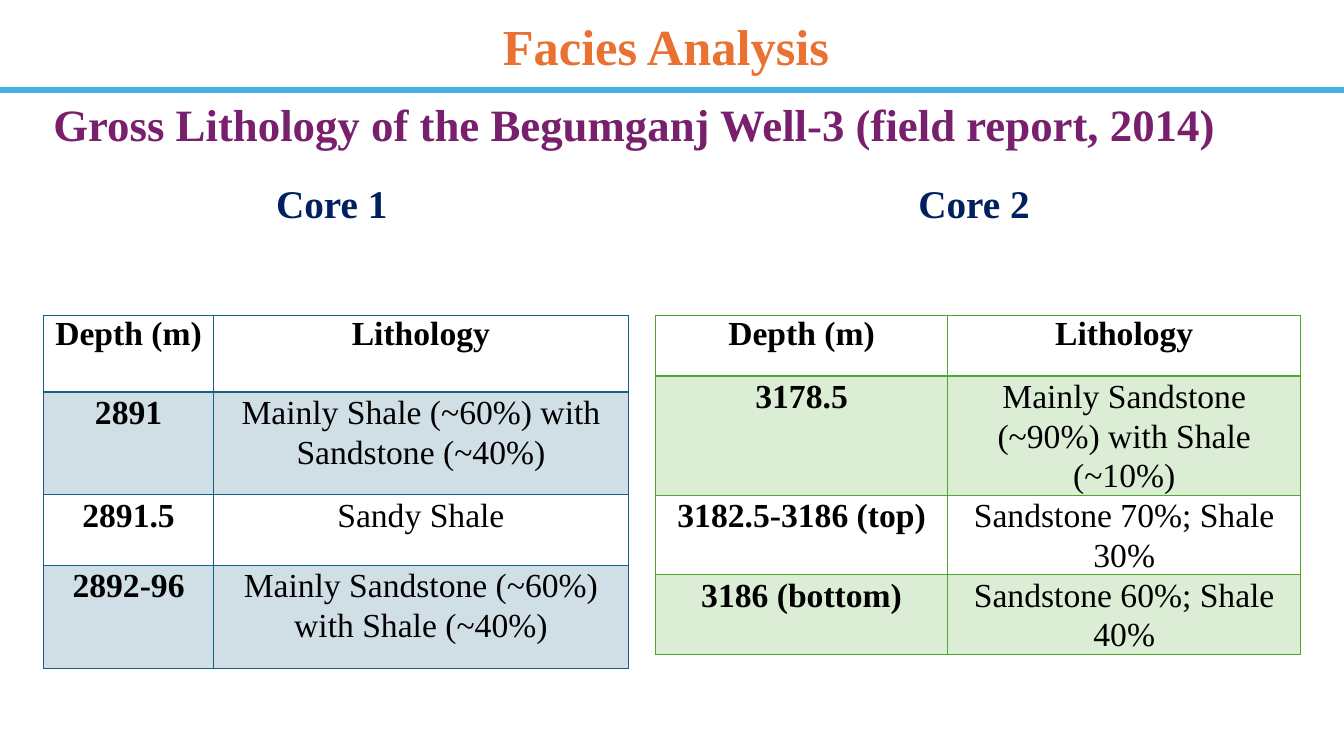
from lxml import etree
from pptx import Presentation
from pptx.dml.color import RGBColor
from pptx.enum import shapes, text
from pptx.oxml import ns
from pptx.util import Inches, Pt

# Content: text, left, top, width, height, style
HEADINGS = [
    ("Gross Lithology of the Begumganj Well-3 (field report, 2014)", 0.43, 0.97, 12.71, 0.76, "subtitle"),
    ("Core 1", 2.64, 1.73, 1.38, 0.57, "core"),
    ("Core 2", 9.01, 1.73, 1.38, 0.57, "core"),
    ("Facies Analysis", 4.89, 0.1, 3.55, 0.71, "title"),
]
HEADER = ("Depth (m)", "Lithology")
CORES = [
    {
        "left": 0.43, "columns": (1.69, 4.11), "heights": (0.76, 1.02, 0.7, 1.02), "color": "156082",
        "rows": [
            ("2891", "Mainly Shale (~60%) with Sandstone (~40%)"),
            ("2891.5", "Sandy Shale"),
            ("2892-96", "Mainly Sandstone (~60%) with Shale (~40%)"),
        ],
    },
    {
        "left": 6.5, "columns": (2.9, 3.5), "heights": (0.6, 0.7, 0.7, 0.7), "color": "4EA72E",
        "rows": [
            ("3178.5", "Mainly Sandstone (~90%) with Shale (~10%)"),
            ("3182.5-3186 (top)", "Sandstone 70%; Shale 30%"),
            ("3186 (bottom)", "Sandstone 60%; Shale 40%"),
        ],
    },
]
TABLE_TOP = 3.13
RULE_Y = 0.89
SLIDE_WIDTH, SLIDE_HEIGHT = 13.33, 7.5

THEME = {
    "font": "Times New Roman",
    "title": (36, "E97132"),
    "subtitle": (32, "78206E"),
    "core": (28, "002060"),
    "cell": (24, "000000"),
    "rule": (4.5, "46B1E1"),
    "band_alpha": "20000",
}


def add_span(para, words, style, bold=True):
    span = para.add_run()
    span.text = words
    size, color = THEME[style]
    span.font.name = THEME["font"]
    span.font.size = Pt(size)
    span.font.bold = bold
    span.font.color.rgb = RGBColor.from_string(color)


def add_heading(page, words, left, top, width, height, style):
    box = page.shapes.add_textbox(Inches(left), Inches(top), Inches(width), Inches(height))
    box.text_frame.word_wrap = style == "subtitle"
    para = box.text_frame.paragraphs[0]
    if style == "subtitle":
        para.line_spacing = 0.9
    add_span(para, words, style)


def set_borders(cell, color, widths):
    properties = cell._tc.get_or_add_tcPr()
    for side, width in widths.items():
        line = etree.SubElement(properties, ns.qn(f"a:ln{side}"), w=str(Pt(width)))
        fill = etree.SubElement(line, ns.qn("a:solidFill"))
        etree.SubElement(fill, ns.qn("a:srgbClr"), val=color)


def fill_cell(cell, color, banded):
    if not banded:
        cell.fill.background()
        return
    cell.fill.solid()
    cell.fill.fore_color.rgb = RGBColor.from_string(color)
    for tint in cell._tc.tcPr.findall(ns.qn("a:solidFill") + "/" + ns.qn("a:srgbClr")):
        etree.SubElement(tint, ns.qn("a:alpha"), val=THEME["band_alpha"])


def add_core_table(page, core):
    rows = [HEADER] + core["rows"]
    frame = page.shapes.add_table(
        len(rows), len(HEADER), Inches(core["left"]), Inches(TABLE_TOP),
        Inches(sum(core["columns"])), Inches(sum(core["heights"])))
    table = frame.table
    table.first_row = table.horz_banding = False
    for column, width in zip(table.columns, core["columns"]):
        column.width = Inches(width)
    for r, (row, height) in enumerate(zip(rows, core["heights"])):
        table.rows[r].height = Inches(height)
        for c, words in enumerate(row):
            cell = table.cell(r, c)
            cell.margin_left = cell.margin_right = Inches(0.07)
            cell.margin_top = cell.margin_bottom = 0
            # The line under the header is twice as thick
            widths = {"L": 1, "R": 1, "T": 2 if r == 1 else 1, "B": 2 if r == 0 else 1}
            set_borders(cell, core["color"], widths)
            fill_cell(cell, core["color"], banded=r % 2 == 1)
            para = cell.text_frame.paragraphs[0]
            para.alignment = text.PP_ALIGN.CENTER
            if r > 0:
                para.line_spacing = 1.07
                para.space_after = Pt(8)
            add_span(para, words, "cell", bold=r == 0 or c == 0)


def add_rule(page):
    rule = page.shapes.add_connector(
        shapes.MSO_CONNECTOR.STRAIGHT, 0, Inches(RULE_Y), Inches(SLIDE_WIDTH), Inches(RULE_Y))
    width, color = THEME["rule"]
    rule.line.width = Pt(width)
    rule.line.color.rgb = RGBColor.from_string(color)
    etree.SubElement(rule._element.spPr, ns.qn("a:effectLst"))


def main():
    deck = Presentation()
    deck.slide_width, deck.slide_height = Inches(SLIDE_WIDTH), Inches(SLIDE_HEIGHT)
    page = deck.slides.add_slide(deck.slide_layouts[6])

    # Tables, then the rule and headings
    for core in CORES:
        add_core_table(page, core)
    add_rule(page)
    for heading in HEADINGS:
        add_heading(page, *heading)

    deck.save("out.pptx")


if __name__ == "__main__":
    main()
